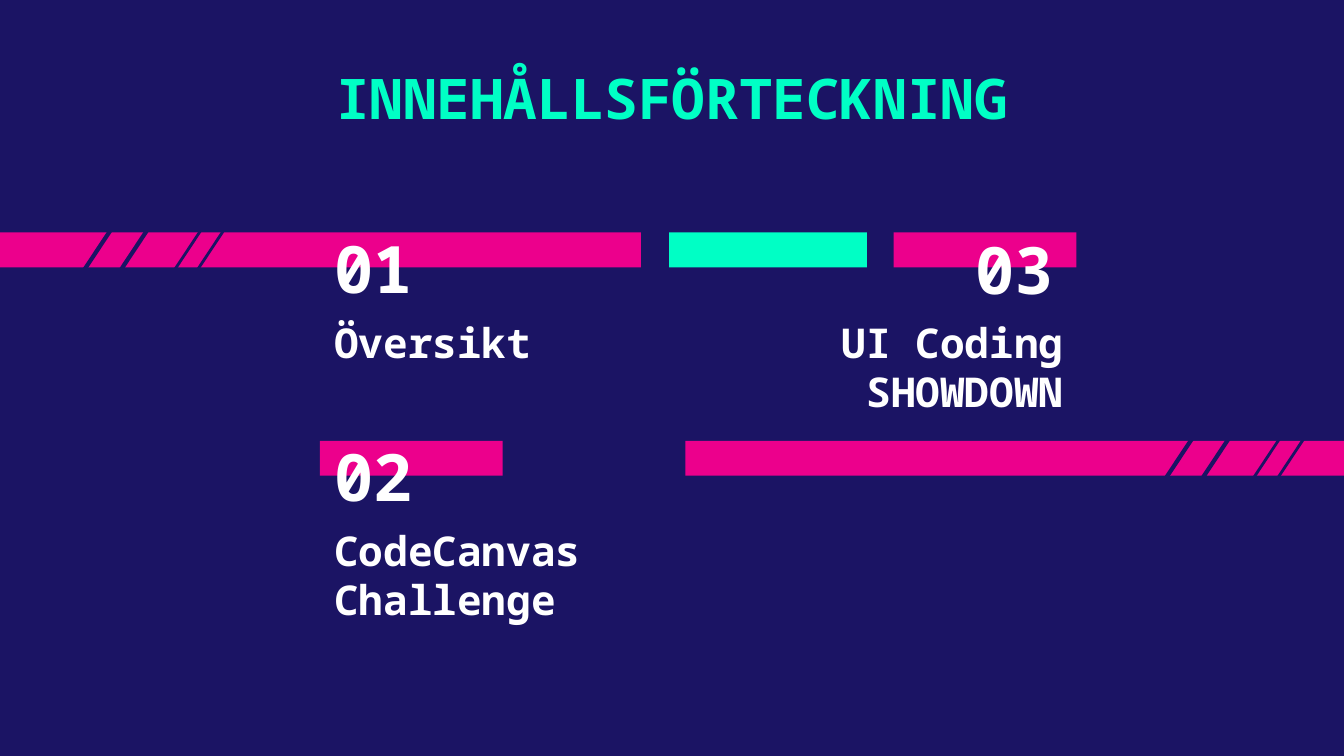
from typing import NamedTuple

from lxml import etree
from pptx import Presentation
from pptx.dml.color import RGBColor
from pptx.enum import shapes, text
from pptx.oxml.ns import qn
from pptx.util import Inches, Pt

COLORS = {"navy": "1B1464", "pink": "EC008C", "mint": "00FFC5", "white": "FFFFFF"}
FONT = "Noto Sans Mono"
SLIDE_WIDTH = Inches(10)
SLIDE_HEIGHT = SLIDE_WIDTH * 9 // 16
BAR_HEIGHT = 0.26
STRIPE_RUN, STRIPE_DROP = -0.57, 0.86


class Bar(NamedTuple):
    left: float
    top: float
    width: float
    color: str = "pink"


class Stripe(NamedTuple):
    left: float
    top: float
    weight: float


class Label(NamedTuple):
    content: str
    left: float
    top: float
    width: float
    height: float
    size: int = 22
    anchor: text.MSO_ANCHOR = text.MSO_ANCHOR.TOP
    align: text.PP_ALIGN = text.PP_ALIGN.LEFT
    color: str = "white"
    inset: float = 0


NUMBER = {"size": 35, "anchor": text.MSO_ANCHOR.BOTTOM}

TITLE = Label("INNEHÅLLSFÖRTECKNING", 1.4, 0.37, 7.2, 0.73, size=30,
              align=text.PP_ALIGN.CENTER, color="mint", inset=0.1)

BARS = [
    Bar(0, 1.73, 4.77),
    Bar(4.98, 1.73, 1.47, "mint"),
    Bar(6.65, 1.73, 1.36),
    Bar(2.38, 3.28, 1.36),
    Bar(5.1, 3.28, 4.9),
]

STRIPES = [
    Stripe(1.03, 1.4, 2.25),
    Stripe(1.19, 1.57, 2.25),
    Stripe(1.53, 1.66, 1.5),
    Stripe(1.7, 1.66, 1.5),
    Stripe(9.25, 2.69, 2.25),
    Stripe(9.41, 2.86, 2.25),
    Stripe(9.57, 3.19, 1.5),
    Stripe(9.75, 3.19, 1.5),
]

LABELS = [
    Label("01", 2.39, 1.74, 2.37, 0.54, **NUMBER),
    Label("Översikt", 2.39, 2.36, 2.37, 0.47),
    Label("02", 2.39, 3.2, 2.37, 0.63, **NUMBER),
    Label("CodeCanvas Challenge", 2.39, 3.91, 2.23, 0.93),
    Label("03", 7.16, 1.66, 0.86, 0.63, **NUMBER),
    Label("UI Coding SHOWDOWN", 5.3, 2.36, 2.71, 0.47, align=text.PP_ALIGN.RIGHT),
]


def rgb(name: str) -> RGBColor:
    return RGBColor.from_string(COLORS[name])


def draw_bar(slide, bar: Bar) -> None:
    shape = slide.shapes.add_shape(
        shapes.MSO_SHAPE.RECTANGLE, Inches(bar.left), Inches(bar.top),
        Inches(bar.width), Inches(BAR_HEIGHT))
    shape.shadow.inherit = False
    shape.fill.solid()
    shape.fill.fore_color.rgb = rgb(bar.color)
    shape.line.fill.background()


def draw_stripe(slide, stripe: Stripe) -> None:
    """Draw a slanted line in the background colour, cutting through a bar."""
    line = slide.shapes.add_connector(
        shapes.MSO_CONNECTOR.STRAIGHT, Inches(stripe.left), Inches(stripe.top),
        Inches(stripe.left + STRIPE_RUN), Inches(stripe.top + STRIPE_DROP))
    line.line.color.rgb = rgb("navy")
    line.line.width = Pt(stripe.weight)
    etree.SubElement(line._element.spPr, qn("a:effectLst"))


def write_label(shape, label: Label) -> None:
    frame = shape.text_frame
    frame_format = {
        "text": label.content,
        "word_wrap": True,
        "auto_size": text.MSO_AUTO_SIZE.NONE,
        "vertical_anchor": label.anchor,
        "margin_left": Inches(0.1),
        "margin_right": Inches(0.1),
        "margin_top": Inches(label.inset),
        "margin_bottom": Inches(label.inset),
    }
    for name, value in frame_format.items():
        setattr(frame, name, value)
    paragraph = frame.paragraphs[0]
    paragraph.alignment = label.align
    font = paragraph.runs[0].font
    for name, value in {"name": FONT, "size": Pt(label.size), "bold": True}.items():
        setattr(font, name, value)
    font.color.rgb = rgb(label.color)


def place_title(slide, label: Label) -> None:
    title = slide.shapes.title
    for name in ("left", "top", "width", "height"):
        setattr(title, name, Inches(getattr(label, name)))
    write_label(title, label)


def draw_label(slide, label: Label) -> None:
    box = slide.shapes.add_textbox(
        Inches(label.left), Inches(label.top), Inches(label.width), Inches(label.height))
    write_label(box, label)


def main() -> None:
    presentation = Presentation()
    presentation.slide_width = SLIDE_WIDTH
    presentation.slide_height = SLIDE_HEIGHT
    slide = presentation.slides.add_slide(presentation.slide_layouts[5])
    slide.background.fill.solid()
    slide.background.fill.fore_color.rgb = rgb("navy")

    place_title(slide, TITLE)
    for bar in BARS:
        draw_bar(slide, bar)
    for stripe in STRIPES:
        draw_stripe(slide, stripe)
    for label in LABELS:
        draw_label(slide, label)
    presentation.save("out.pptx")


if __name__ == "__main__":
    main()
